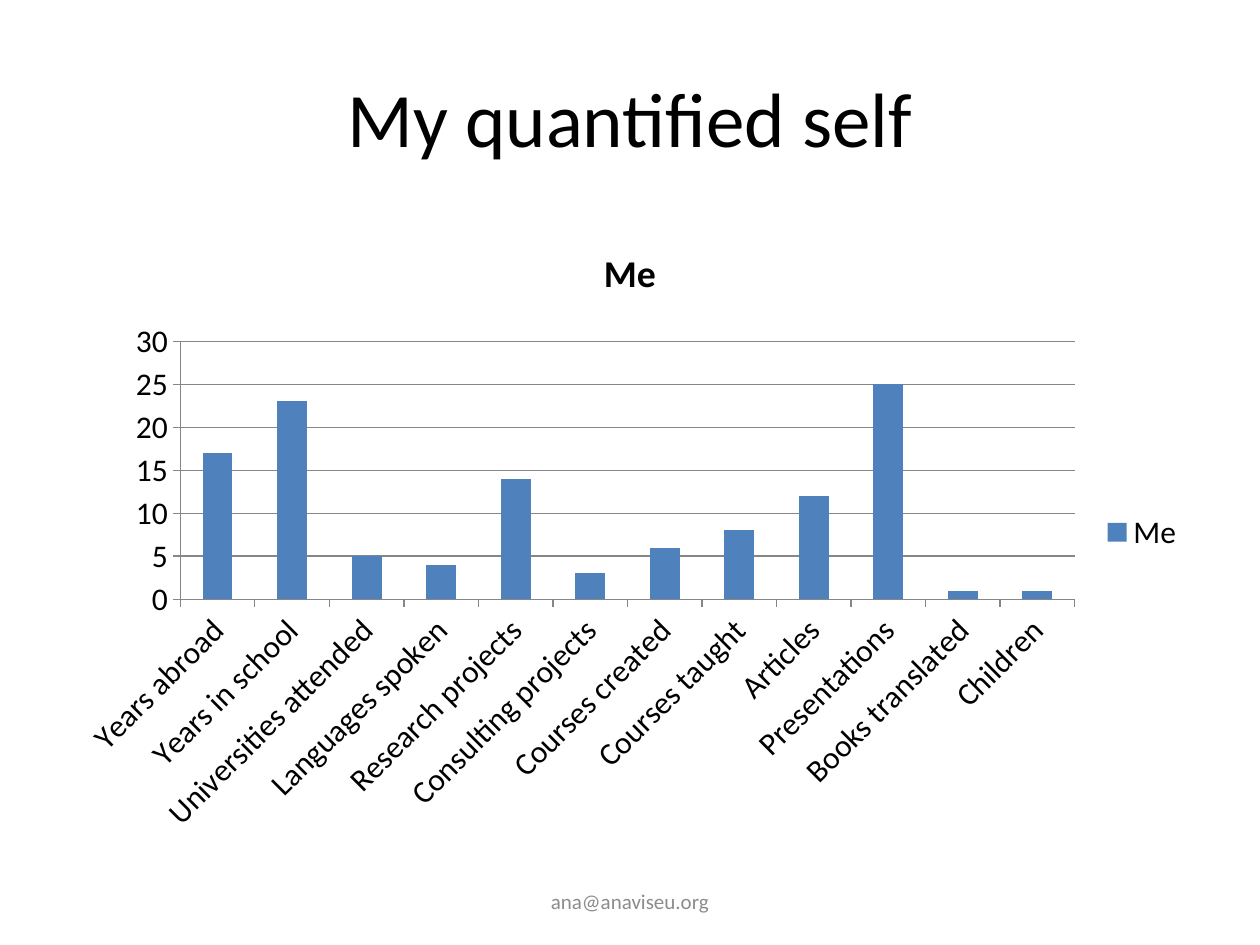
from pptx import Presentation
from pptx.chart.data import CategoryChartData
from pptx.dml.color import RGBColor
from pptx.enum.chart import XL_CHART_TYPE, XL_LEGEND_POSITION, XL_TICK_MARK
from pptx.enum.text import MSO_ANCHOR, PP_ALIGN
from pptx.util import Inches, Pt

# Content
TITLE = "My quantified self"
FOOTER = "ana@anaviseu.org"
SERIES = "Me"
COUNTS = {
    "Years abroad": 17,
    "Years in school": 23,
    "Universities attended": 5,
    "Languages spoken": 4,
    "Research projects": 14,
    "Consulting projects": 3,
    "Courses created": 6,
    "Courses taught": 8,
    "Articles": 12,
    "Presentations": 25,
    "Books translated": 1,
    "Children": 1,
}

FONT = "Calibri"
BLACK = RGBColor(0x00, 0x00, 0x00)
GREY = RGBColor(0x8C, 0x8C, 0x8C)
LINE = RGBColor(0x86, 0x86, 0x86)
BLUE = RGBColor(0x4F, 0x81, 0xBD)

# Layout: full-width blocks between equal margins, footer centred
WIDTH, HEIGHT, MARGIN = 10, 7.5, 0.5
BODY_W = WIDTH - 2 * MARGIN
FOOTER_W = 3.17
TITLE_BOX = (MARGIN, 0.3, BODY_W, 1.25)
CHART_BOX = (MARGIN, 1.75, BODY_W, 4.95)
FOOTER_BOX = ((WIDTH - FOOTER_W) / 2, 6.95, FOOTER_W, 0.4)


def set_font(font, size, color, bold=False):
    font.name, font.size, font.bold = FONT, Pt(size), bold
    font.color.rgb = color


def write(sp, text, size, color):
    tf = sp.text_frame
    tf.word_wrap = True
    tf.vertical_anchor = MSO_ANCHOR.MIDDLE
    p = tf.paragraphs[0]
    p.alignment = PP_ALIGN.CENTER
    r = p.add_run()
    r.text = text
    set_font(r.font, size, color)


prs = Presentation()
prs.slide_width, prs.slide_height = Inches(WIDTH), Inches(HEIGHT)
s = prs.slides.add_slide(prs.slide_layouts[5])

# Title
title = s.shapes.title
title.left, title.top, title.width, title.height = map(Inches, TITLE_BOX)
write(title, TITLE, 44, BLACK)

# Column chart
data = CategoryChartData()
data.categories = list(COUNTS)
data.add_series(SERIES, list(COUNTS.values()))
chart = s.shapes.add_chart(
    XL_CHART_TYPE.COLUMN_STACKED, *map(Inches, CHART_BOX), data).chart
set_font(chart.font, 18, BLACK)

chart.has_title = True
r = chart.chart_title.text_frame.paragraphs[0].add_run()
r.text = SERIES
set_font(r.font, 21.6, BLACK, bold=True)
chart.chart_title.include_in_layout = False

chart.has_legend = True
chart.legend.position = XL_LEGEND_POSITION.RIGHT
chart.legend.include_in_layout = False

plot = chart.plots[0]
plot.gap_width, plot.overlap, plot.vary_by_categories = 150, 100, False
fill = plot.series[0].format.fill
fill.solid()
fill.fore_color.rgb = BLUE

# Axes and gridlines
for axis in (chart.category_axis, chart.value_axis):
    axis.major_tick_mark = XL_TICK_MARK.OUTSIDE
    axis.minor_tick_mark = XL_TICK_MARK.NONE
    axis.format.line.color.rgb = LINE
chart.value_axis.has_major_gridlines = True
chart.value_axis.major_gridlines.format.line.color.rgb = LINE

# Footer
write(s.shapes.add_textbox(*map(Inches, FOOTER_BOX)), FOOTER, 12, GREY)

prs.save("out.pptx")
